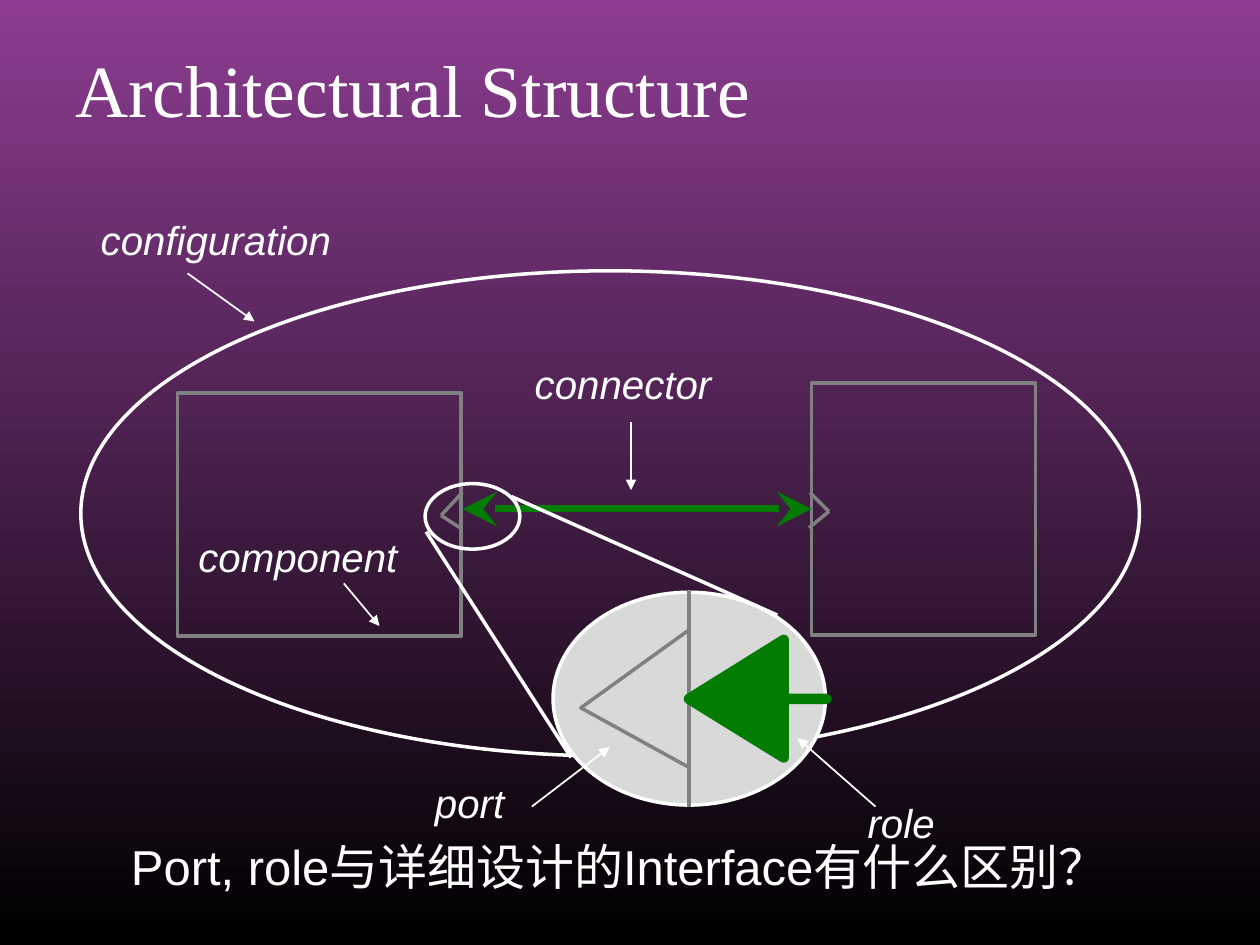
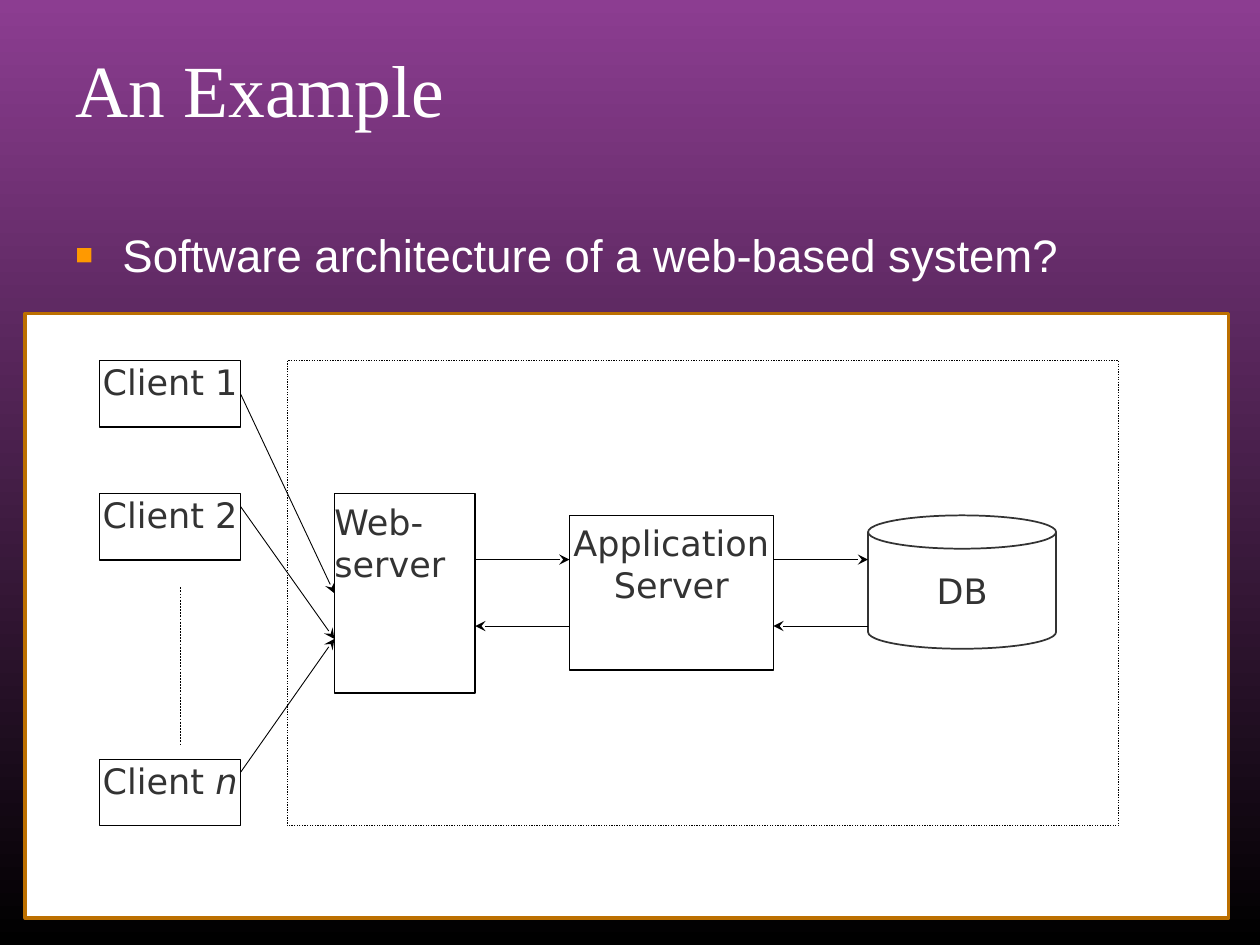
"""Build two slides on architectural structure and a web-based example."""
from dataclasses import dataclass

from lxml.etree import SubElement
from pptx import Presentation
from pptx.dml.color import RGBColor
from pptx.enum.dml import MSO_LINE
from pptx.enum.shapes import MSO_CONNECTOR, MSO_SHAPE
from pptx.enum.text import MSO_ANCHOR, PP_ALIGN
from pptx.oxml.ns import qn
from pptx.util import Cm, Pt


@dataclass(frozen=True)
class Theme:
    white: str = "FFFFFF"
    black: str = "000000"
    purple: str = "8C3D91"
    grey: str = "808080"
    lens: str = "D9D9D9"
    green: str = "037C03"
    ink: str = "333333"
    amber: str = "BC6F00"
    bullet: str = "FF9900"
    serif: str = "Times New Roman"
    sans: str = "Arial"
    diagram: str = "DejaVu Sans"
    title: int = 42
    question: int = 28
    body: int = 26
    label: int = 23
    node: int = 20


T = Theme()


def box(s, kind, at, fill=None, line=None, width=2, runs=(), font=T.sans, size=T.label,
        color=T.white, align=PP_ALIGN.LEFT, anchor=MSO_ANCHOR.TOP, inset=(0, 0), wrap=True):
    at = [Cm(v) for v in at]
    if kind is None:
        sp = s.shapes.add_textbox(*at)
    else:
        sp = s.shapes.add_shape(kind, *at)
        sp.shadow.inherit = False
        if fill:
            sp.fill.solid()
            sp.fill.fore_color.rgb = RGBColor.from_string(fill)
        else:
            sp.fill.background()
        sp.line.color.rgb = RGBColor.from_string(line)
        sp.line.width = Pt(width)
    if runs:
        tf = sp.text_frame
        tf.word_wrap = wrap
        tf.vertical_anchor = anchor
        tf.margin_left = tf.margin_right = Cm(inset[0])
        tf.margin_top = tf.margin_bottom = Cm(inset[1])
        p = tf.paragraphs[0]
        p.alignment = align
        for text, italic in runs:
            r = p.add_run()
            r.text = text
            r.font.name = font
            r.font.size = Pt(size)
            r.font.italic = italic
            r.font.color.rgb = RGBColor.from_string(color)
    return sp


def link(s, ends, color, width, head=None, tail=None, dash=None, size="med"):
    c = s.shapes.add_connector(MSO_CONNECTOR.STRAIGHT, *[Cm(v) for v in ends])
    c.line.color.rgb = RGBColor.from_string(color)
    c.line.width = Pt(width)
    if dash:
        c.line.dash_style = dash
    for tag, arrow in (("a:headEnd", head), ("a:tailEnd", tail)):
        if arrow:
            SubElement(c.get_or_add_ln(), qn(tag), type=arrow, w=size, len=size)
    SubElement(c._element.spPr, qn("a:effectLst"))
    return c


prs = Presentation()
prs.slide_width, prs.slide_height = Cm(25.4), Cm(19.05)

slides = []
for title in ("Architectural Structure", "An Example"):
    s = prs.slides.add_slide(prs.slide_layouts[6])
    bg = s.background.fill
    bg.gradient()
    bg.gradient_angle = 90
    for stop, color in zip(bg.gradient_stops, (T.black, T.purple)):
        stop.color.rgb = RGBColor.from_string(color)
    box(s, None, (1.27, 0.76, 22.86, 3.18), runs=[(title, False)],
        font=T.serif, size=T.title, inset=(0.25, 0.13))
    slides.append(s)

s = slides[0]
box(s, MSO_SHAPE.RECTANGLE, (3.58, 7.92, 5.72, 4.9), line=T.grey)
right = box(s, MSO_SHAPE.RECTANGLE, (16.36, 7.72, 4.52, 5.08), line=T.grey)
for ends in ((9.32, 9.93, 8.89, 10.39), (8.89, 10.39, 9.32, 10.67),
             (16.33, 9.93, 16.71, 10.31), (16.71, 10.31, 16.31, 10.64)):
    link(s, ends, T.grey, 2)
c = link(s, (9.32, 10.26, 16.36, 10.26), T.green, 4, head="stealth", tail="stealth", size="lg")
c.end_connect(right, 1)

for at, fill in (((1.63, 5.46, 21.34, 9.78), None),
                 ((8.57, 9.75, 1.91, 1.32), None),
                 ((11.15, 11.94, 5.49, 4.29), T.lens)):
    box(s, MSO_SHAPE.OVAL, at, fill=fill, line=T.white)
for ends in ((10.31, 10.01, 15.67, 12.4), (8.59, 10.72, 11.51, 15.27)):
    link(s, ends, T.white, 2)
link(s, (13.89, 11.91, 13.89, 16.26), T.grey, 2)

port = [(13.89, 12.7), (11.71, 14.27), (13.89, 15.47)]
role = [(13.89, 14.09), (15.8, 12.9), (15.8, 14.09), (16.66, 14.09),
        (15.8, 14.09), (15.8, 15.27), (13.89, 14.09)]
for points, color, width, filled in ((port, T.grey, 2, False), (role, T.green, 6, True)):
    points = [(Cm(x), Cm(y)) for x, y in points]
    fb = s.shapes.build_freeform(*points[0])
    fb.add_line_segments(points[1:], close=False)
    sp = fb.convert_to_shape()
    sp.shadow.inherit = False
    if filled:
        sp.fill.solid()
        sp.fill.fore_color.rgb = RGBColor.from_string(color)
    else:
        sp.fill.background()
    sp.line.color.rgb = RGBColor.from_string(color)
    sp.line.width = Pt(width)

for text, x, y, w, ends in (
        ("configuration", 1.85, 4.4, 5.3, (3.78, 5.51, 5.13, 6.48)),
        ("connector", 10.6, 7.31, 4.2, (12.72, 8.51, 12.72, 9.88)),
        ("component", 3.82, 10.8, 4.7, (6.93, 11.76, 7.65, 12.62)),
        ("port", 8.59, 15.75, 2.1, (10.72, 16.26, 12.29, 15.06)),
        ("role", 17.31, 16.16, 2.1, (17.65, 16.26, 16.08, 14.88))):
    sp = box(s, None, (x, y, w, 0.97), runs=[(text, True)], inset=(0.18, 0.08))
    sp.text_frame.paragraphs[0].line_spacing = 0.85
    link(s, ends, T.white, 1, tail="triangle")
box(s, None, (2.39, 16.74, 20.88, 1.45), runs=[("Port, role与详细设计的Interface有什么区别？", False)],
    size=T.question, inset=(0.25, 0.13), wrap=False)

s = slides[1]
box(s, MSO_SHAPE.RECTANGLE, (0.51, 6.32, 24.26, 12.19), fill=T.white, line=T.amber)
sp = box(s, None, (1.27, 4.45, 22.86, 1.6), size=T.body, inset=(0.25, 0.12),
         runs=[("Software architecture of a web-based system?", False)])
pPr = sp.text_frame.paragraphs[0]._p.get_or_add_pPr()
pPr.set("marL", str(Cm(0.95)))
pPr.set("indent", str(-Cm(0.95)))
SubElement(SubElement(pPr, qn("a:buClr")), qn("a:srgbClr")).set("val", T.bullet)
SubElement(pPr, qn("a:buSzPct")).set("val", "65000")
SubElement(pPr, qn("a:buFont")).set("typeface", T.sans)
SubElement(pPr, qn("a:buChar")).set("char", "■")

sp = box(s, MSO_SHAPE.RECTANGLE, (5.79, 7.27, 16.76, 9.38), line=T.black, width=0.75)
sp.line.dash_style = MSO_LINE.ROUND_DOT

nodes = []
for runs, at, align, pad in (
        ([("Client 1", False)], (2.01, 7.27, 2.84, 1.34), PP_ALIGN.CENTER, 0),
        ([("Client 2", False)], (2.01, 9.95, 2.84, 1.34), PP_ALIGN.CENTER, 0),
        ([("Client ", False), ("n", True)], (2.01, 15.31, 2.84, 1.34), PP_ALIGN.CENTER, 0),
        ([("Web-server", False)], (6.74, 9.95, 2.84, 4.02), PP_ALIGN.LEFT, 0.13),
        ([("Application Server", False)], (11.48, 10.39, 4.11, 3.12), PP_ALIGN.CENTER, 0.13)):
    nodes.append(box(s, MSO_SHAPE.RECTANGLE, at, fill=T.white, line=T.black, width=0.75,
                     runs=runs, font=T.diagram, size=T.node, color=T.ink,
                     align=align, inset=(0, pad)))
box(s, MSO_SHAPE.CAN, (17.5, 10.39, 3.79, 2.69), fill=T.white, line=T.ink, width=1,
    runs=[("DB", False)], font=T.diagram, size=T.node, color=T.ink, align=PP_ALIGN.CENTER,
    anchor=MSO_ANCHOR.MIDDLE, inset=(0.25, 0.13), wrap=False)

c = link(s, (4.85, 7.94, 6.74, 11.96), T.black, 0.5, tail="stealth")
c.begin_connect(nodes[0], 3)
c.end_connect(nodes[3], 1)
for y in (10.21, 15.57):
    link(s, (4.85, y, 6.74, 12.88), T.black, 0.5, tail="stealth")
for x1, x2 in ((9.58, 11.48), (15.59, 17.5)):
    link(s, (x1, 11.28, x2, 11.28), T.black, 0.5, tail="stealth")
    link(s, (x2, 12.62, x1, 12.62), T.black, 0.5, tail="stealth")
link(s, (3.63, 11.84, 3.63, 15.04), T.black, 0.25, dash=MSO_LINE.DASH)

prs.save("out.pptx")
